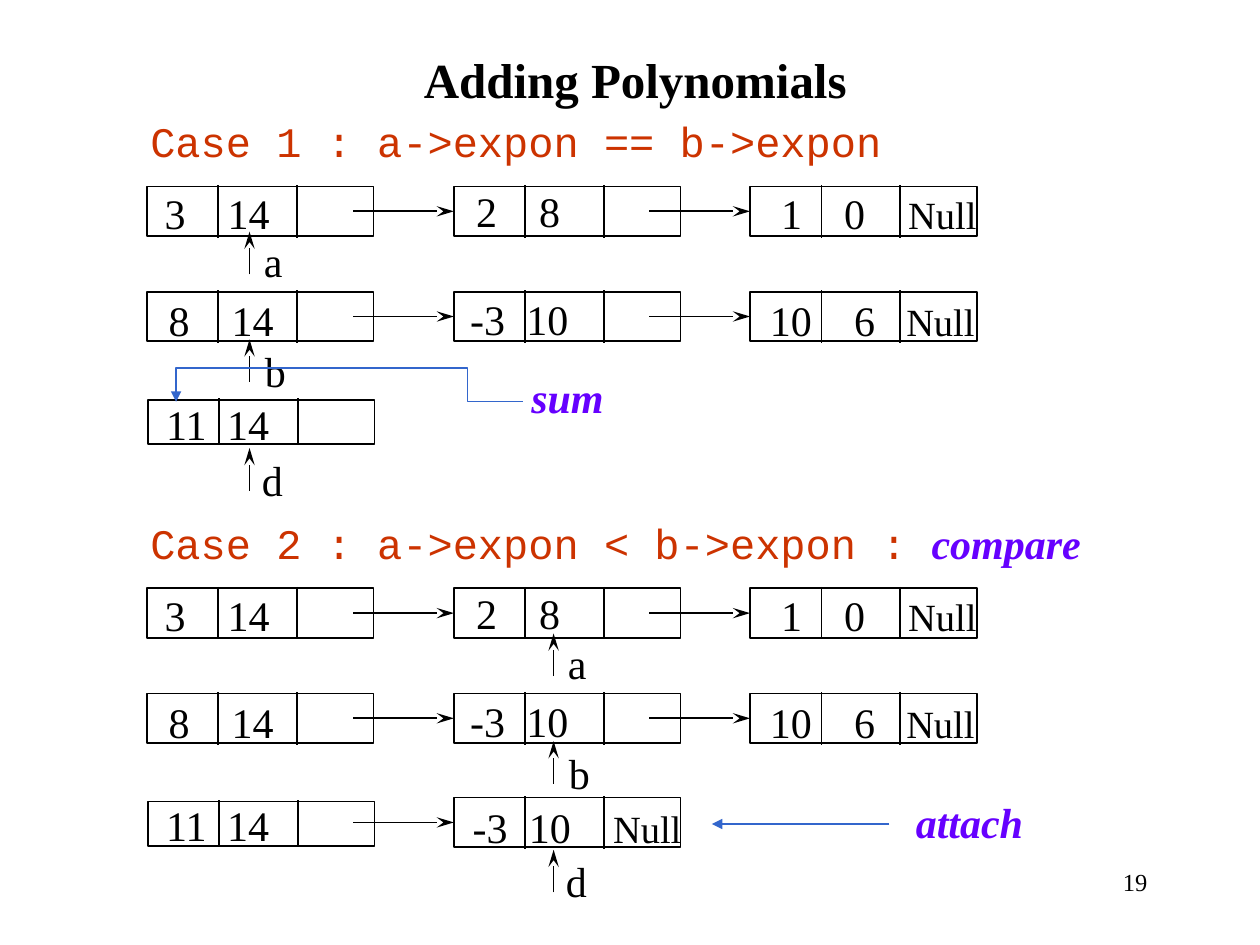
from lxml.etree import SubElement
from pptx import Presentation
from pptx.dml.color import RGBColor
from pptx.enum.shapes import MSO_CONNECTOR as CONN, MSO_SHAPE as SHAPE
from pptx.enum.text import MSO_ANCHOR as ANCHOR, MSO_AUTO_SIZE as AUTO, PP_ALIGN as ALIGN
from pptx.oxml.ns import qn
from pptx.util import Cm, Pt

SERIF, MONO = "Times New Roman", "Courier New"
BLACK, RED, VIOLET, BLUE = "000000", "CC3300", "6600FF", "3366CC"
TEXT = dict(name=SERIF, size=Pt(24), color=BLACK)
NULL = dict(TEXT, size=Pt(22))
CODE = dict(TEXT, name=MONO, color=RED)
NOTE = dict(TEXT, color=VIOLET, bold=True, italic=True)
TITLE = dict(TEXT, size=Pt(28), bold=True)
PAGE = dict(TEXT, size=Pt(14))
STEALTH = dict(type="stealth", w="med", len="lg")
TRIANGLE = dict(type="triangle")

# Distances in cm
COLS = (2.96, 9.15, 15.12)       # left edges of the list nodes
ROWS = (3.76, 5.88)              # tops of lists a and b
SUM_LEFT, SUM_TOP, SUM_H = 2.98, 8.06, 0.89
NODE_W, NODE_H = 4.57, 1.0
DIVIDERS = (1.44, 3.03)
OVERSHOOT = 0.03
LINK = 2.03
CASE_STEP = 8.1                  # from case 1 down to case 2
LINE_H = 1.27

# Per node: values, tab stops, text offset (x, y), text width
LISTS = (
    ((("3", "14"), (1.27,), (0.11, -0.1), 3.99),
     (("2", "8"), (1.27,), (0.2, -0.15), 3.86),
     (("1", "0", "Null"), (1.27, 2.56), (0.38, -0.1), 5.05)),
    ((("8", "14"), (1.27,), (0.19, -0.06), 3.73),
     (("-3", "10"), (1.13,), (0.08, -0.08), 3.28),
     (("10", "6", "Null"), (1.7, 2.75), (0.15, -0.06), 5.74)),
)
SUM = (("11", "14"), (1.23,), (0.12, -0.16), 4.01)
ATTACHED = (("-3", "10", "Null"), (1.13, 2.83), (0.13, -0.05), 5.74)
# Pointer name, tip height, label offset (x, y), label width
POINTERS = (("a", 4.67, (0.04, -0.04), 0.91),
            ("b", 6.84, (0.06, 0), 0.99),
            ("d", 9.03, (0, 0), 0.94))


def rgb(color):
    return RGBColor.from_string(color)


def add_run(p, text, fmt):
    r = p.add_run()
    r.text = text
    for key, value in fmt.items():
        if key == "color":
            r.font.color.rgb = rgb(value)
        else:
            setattr(r.font, key, value)


def add_text(slide, x, y, w, runs, tabs=(), align=ALIGN.LEFT, wrap=True):
    tf = slide.shapes.add_textbox(Cm(x), Cm(y), Cm(w), Cm(LINE_H)).text_frame
    tf.word_wrap = wrap
    tf.auto_size = AUTO.NONE if wrap else AUTO.SHAPE_TO_FIT_TEXT
    p = tf.paragraphs[0]
    p.alignment = align
    if tabs:
        tab_list = SubElement(p._p.get_or_add_pPr(), qn("a:tabLst"))
        for pos in tabs:
            SubElement(tab_list, qn("a:tab"), pos=str(Cm(pos)), algn="l")
    for text, fmt in runs:
        add_run(p, text, fmt)


def set_line(sp, color=BLACK, width=1, arrow=None):
    sp.line.color.rgb = rgb(color)
    sp.line.width = Pt(width)
    if arrow:
        SubElement(sp.line._get_or_add_ln(), qn("a:tailEnd"), arrow)


def add_line(slide, start, end, color=BLACK, width=1, arrow=None):
    points = [Cm(v) for v in (*start, *end)]
    line = slide.shapes.add_connector(CONN.STRAIGHT, *points)
    set_line(line, color, width, arrow)
    SubElement(line._element.spPr, qn("a:effectLst"))
    return line


def add_node(slide, x, y, node, h=NODE_H, linked=False):
    """A box of three cells with its values and the link that leads to it."""
    values, tabs, (dx, dy), w = node
    sp = slide.shapes.add_shape(SHAPE.RECTANGLE, Cm(x), Cm(y), Cm(NODE_W), Cm(h))
    sp.shadow.inherit = False
    sp.fill.background()
    set_line(sp)
    for offset in DIVIDERS:
        add_line(slide, (x + offset, y - OVERSHOOT), (x + offset, y + h + OVERSHOOT))
    runs = [("\t" * (i > 0) + value, NULL if value == "Null" else TEXT)
            for i, value in enumerate(values)]
    add_text(slide, x + dx, y + dy, w, runs, tabs)
    if linked:
        mid = y + h / 2
        link = add_line(slide, (x - LINK, mid), (x, mid), arrow=STEALTH)
        link.end_connect(sp, 1)


def add_pointer(slide, x, y, name, offset, w):
    dx, dy = offset
    add_line(slide, (x, y + 0.86), (x, y), arrow=STEALTH)
    add_text(slide, x + dx, y + dy, w, [(name, TEXT)])


def add_case(slide, shift, heading, heading_w, pointer_x):
    add_text(slide, 2.78, 2.21 + shift, heading_w, heading, wrap=False)
    for top, nodes in zip(ROWS, LISTS):
        for i, (left, node) in enumerate(zip(COLS, nodes)):
            add_node(slide, left, top + shift, node, linked=i > 0)
    add_node(slide, SUM_LEFT, SUM_TOP + shift, SUM, h=SUM_H)
    for name, y, offset, w in POINTERS:
        add_pointer(slide, pointer_x, y + shift, name, offset, w)


def add_sum_path(slide):
    start, *rest = [(Cm(x), Cm(y)) for x, y in (
        (10.54, 8.1), (9.42, 8.1), (9.42, 7.42), (3.55, 7.42), (3.55, 8.1))]
    builder = slide.shapes.build_freeform(*start)
    builder.add_line_segments(rest, close=False)
    sp = builder.convert_to_shape()
    sp.shadow.inherit = False
    sp.fill.background()
    set_line(sp, BLUE, 0.75, TRIANGLE)


def add_title(slide, text):
    title = slide.shapes.title
    box = dict(left=1.11, top=0, width=23.39, height=3.18)
    for key, value in box.items():
        setattr(title, key, Cm(value))
    tf = title.text_frame
    tf.vertical_anchor = ANCHOR.MIDDLE
    p = tf.paragraphs[0]
    p.alignment = ALIGN.CENTER
    add_run(p, text, TITLE)


def main():
    prs = Presentation()
    prs.slide_width, prs.slide_height = Cm(25.4), Cm(19.05)
    slide = prs.slides.add_slide(prs.slide_layouts[5])
    add_title(slide, "Adding Polynomials")

    # Case 1: equal exponents are summed
    add_case(slide, 0, [("Case 1 : a->expon == b->expon", CODE)], 15.24, 5.03)
    add_text(slide, 10.46, 7.37, 1.96, [("sum", NOTE)], align=ALIGN.CENTER, wrap=False)
    add_sum_path(slide)

    # Case 2: the larger exponent is attached
    heading = [("Case 2 : a->expon < b->expon : ", CODE), ("compare", NOTE)]
    add_case(slide, CASE_STEP, heading, 19.28, 11.16)
    add_node(slide, COLS[1], 16.08, ATTACHED, linked=True)
    add_text(slide, 18.21, 15.93, 2.67, [("attach", NOTE)], align=ALIGN.CENTER, wrap=False)
    add_line(slide, (17.93, 16.61), (14.35, 16.61), BLUE, 0.75, TRIANGLE)

    # Page number
    add_text(slide, 18.1, 17.35, 5.28, [("19", PAGE)], align=ALIGN.RIGHT)
    prs.save("out.pptx")


if __name__ == "__main__":
    main()
